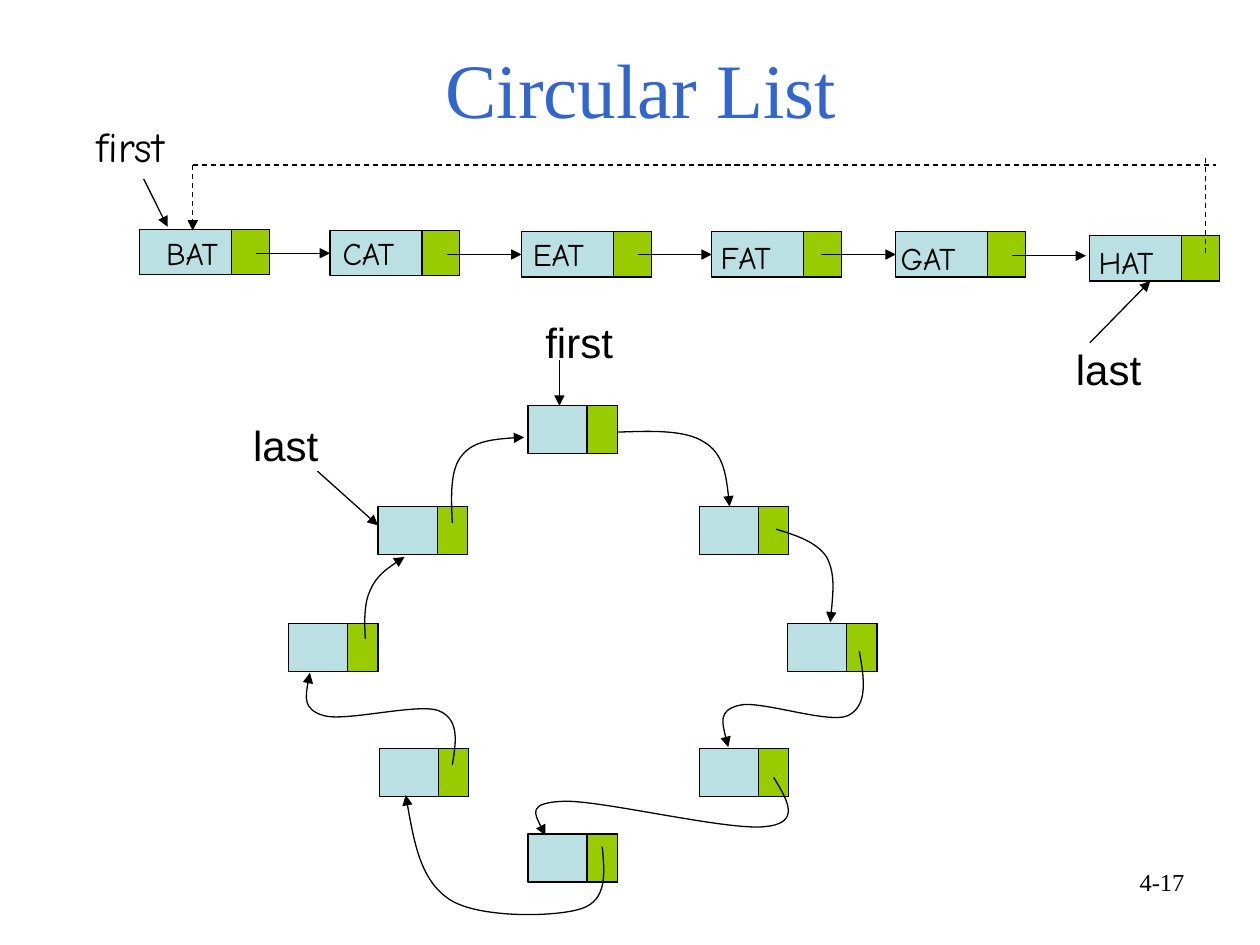
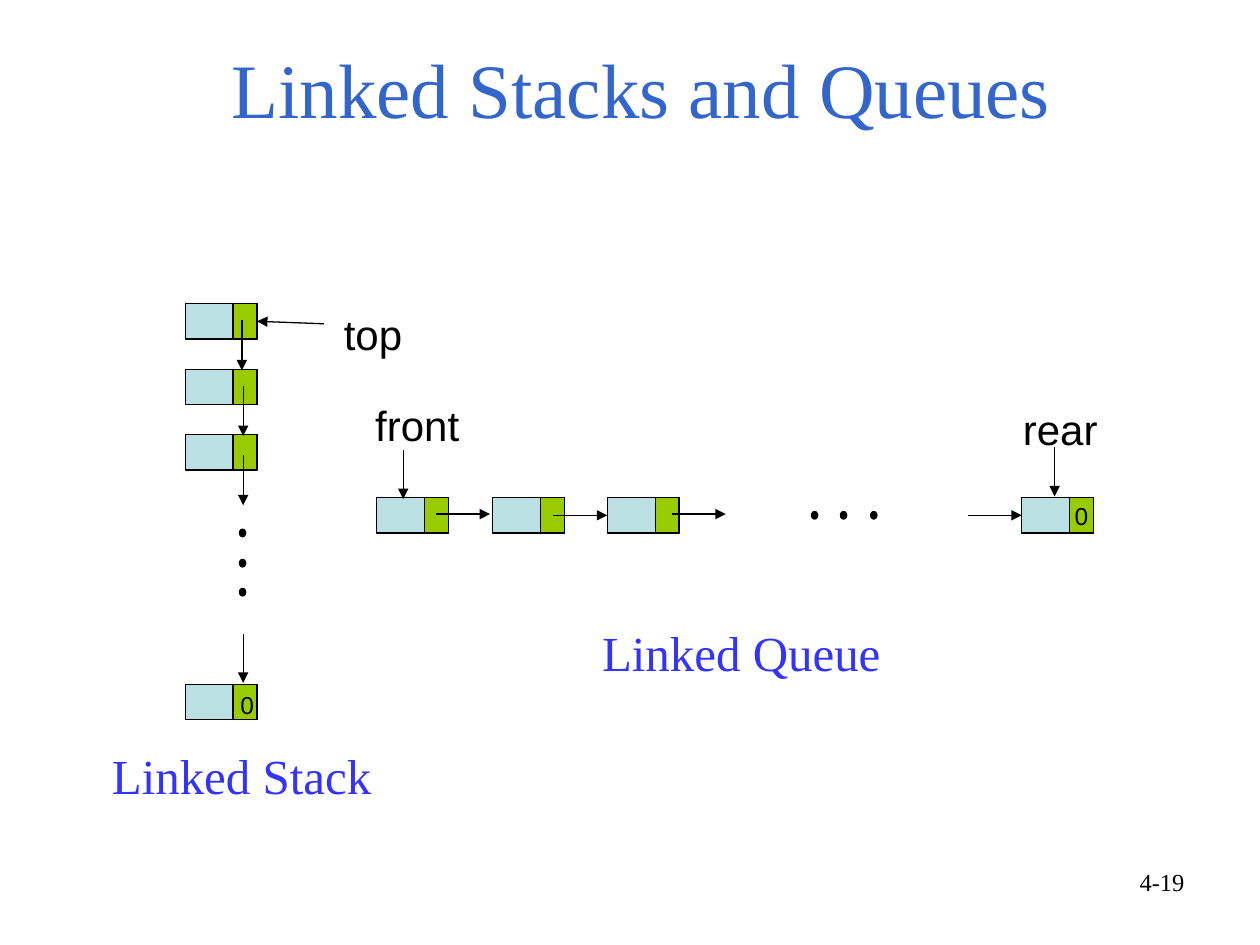
from dataclasses import dataclass
from itertools import pairwise

from lxml import etree
from pptx import Presentation
from pptx.dml.color import RGBColor
from pptx.enum.dml import MSO_LINE
from pptx.enum.shapes import MSO_CONNECTOR, MSO_SHAPE
from pptx.enum.text import MSO_ANCHOR, MSO_AUTO_SIZE, PP_ALIGN
from pptx.oxml.ns import qn
from pptx.util import Pt

EMU_PER_PX = 9144
SLIDE_WIDTH, SLIDE_HEIGHT = 1000, 750
TITLE_ONLY_LAYOUT = 5

BLACK = RGBColor(0x00, 0x00, 0x00)
DATA_FILL = RGBColor(0xBB, 0xE0, 0xE3)
LINK_FILL = RGBColor(0x99, 0xCC, 0x00)
TITLE_BLUE = RGBColor(0x33, 0x66, 0xCC)
CAPTION_BLUE = RGBColor(0x33, 0x33, 0xFF)

SANS, SERIF, HAND = "Arial", "Times New Roman", "Comic Neue"
RECTANGLE, OVAL = MSO_SHAPE.RECTANGLE, MSO_SHAPE.OVAL
STRAIGHT = MSO_CONNECTOR.STRAIGHT
DASH = MSO_LINE.DASH
LEFT, CENTER, RIGHT = PP_ALIGN.LEFT, PP_ALIGN.CENTER, PP_ALIGN.RIGHT
TOP, BOTTOM = MSO_ANCHOR.TOP, MSO_ANCHOR.BOTTOM
NO_AUTOFIT = MSO_AUTO_SIZE.NONE
LEFT_SIDE, RIGHT_SIDE = 1, 3


@dataclass(frozen=True)
class NodeSize:
    width: int
    height: int
    link_width: int


@dataclass(frozen=True)
class Label:
    text: str
    left: int
    top: int
    width: int
    height: int = 50
    font: str = SANS
    size: int = 24
    color: RGBColor = BLACK
    align: PP_ALIGN = LEFT


@dataclass(frozen=True)
class Line:
    start: tuple[int, int]
    end: tuple[int, int]
    dashed: bool = False
    arrow: bool = True


ROW_NODE = NodeSize(103, 36, 30)
RING_NODE = NodeSize(71, 38, 24)
SMALL_NODE = NodeSize(57, 28, 19)

WORD_NODES = [
    (111, 182, Label("BAT", 122, 181, 82, 40, HAND, 18)),
    (262, 183, Label("CAT", 262, 181, 82, 40, HAND, 18)),
    (414, 184, Label("EAT", 413, 182, 82, 40, HAND, 18)),
    (565, 184, Label("FAT", 562, 184, 82, 40, HAND, 18)),
    (711, 184, Label("GAT", 705, 185, 82, 40, HAND, 18)),
    (865, 187, Label("HAT", 862, 188, 82, 40, HAND, 18)),
]
WORD_ARROW_LENGTH = 59

RING_POSITIONS = [
    (419, 322), (555, 402), (625, 495), (555, 594),
    (419, 662), (301, 594), (229, 495), (300, 402),
]
RING_CURVES = [
    [(490, 343), (517, 342), (544, 341), (559, 351), (574, 360), (577, 381), (579, 402)],
    [(616, 420), (632, 425), (648, 430), (656, 442), (663, 455), (661, 474), (659, 494)],
    [(682, 517), (686, 539), (689, 560), (673, 568), (657, 575), (602, 555), (586, 560),
     (570, 564), (574, 578), (578, 593)],
    [(614, 617), (625, 635), (636, 653), (608, 656), (580, 660), (477, 635), (448, 636),
     (418, 637), (426, 650), (433, 663)],
    [(478, 672), (480, 693), (482, 714), (462, 721), (442, 728), (380, 729), (357, 714),
     (334, 699), (328, 665), (322, 631)],
    [(359, 607), (362, 589), (365, 571), (348, 564), (331, 558), (274, 573), (257, 568),
     (240, 563), (243, 548), (246, 534)],
    [(290, 507), (289, 493), (289, 478), (294, 468), (299, 457), (310, 449), (321, 442)],
    [(359, 415), (358, 394), (357, 372), (367, 361), (376, 350), (396, 348), (416, 347)],
]
CIRCULAR_LINES = [
    Line((803, 203), (862, 203)),
    Line((444, 286), (444, 322)),
    Line((252, 374), (300, 417)),
    Line((114, 142), (133, 180)),
    Line((865, 272), (913, 223)),
    Line((957, 201), (957, 123), dashed=True, arrow=False),
    Line((153, 131), (965, 131), dashed=True, arrow=False),
    Line((153, 131), (153, 183), dashed=True),
]
CIRCULAR_LABELS = [
    Label("first", 67, 91, 96, font=HAND),
    Label("last", 844, 268, 85),
    Label("first", 423, 246, 87),
    Label("last", 191, 328, 98),
]

STACK_LEFT, STACK_TOPS = 147, [241, 293, 345, 543]
QUEUE_LEFTS, QUEUE_TOP = [299, 391, 482, 811], 395
STACK_DOTS = [(190, top) for top in (420, 444, 467)]
QUEUE_DOTS = [(left, 406) for left in (644, 667, 691)]
STACK_LINES = [
    Line((192, 254), (192, 294)),
    Line((193, 306), (193, 346)),
    Line((193, 361), (193, 401)),
    Line((193, 503), (193, 542)),
]
QUEUE_LINES = [
    Line((346, 408), (389, 408)),
    Line((533, 408), (576, 408)),
    Line((320, 357), (320, 396)),
    Line((837, 355), (837, 394)),
]
STACK_QUEUE_LABELS = [
    Label("front", 288, 312, 87),
    Label("rear", 802, 315, 84),
    Label("top", 263, 240, 69),
    Label("0", 181, 543, 27, 34, size=14),
    Label("0", 843, 393, 27, 34, size=14),
    Label("Linked Stack", 79, 587, 284, 57, SERIF, 28, CAPTION_BLUE),
    Label("Linked Queue", 468, 489, 284, 57, SERIF, 28, CAPTION_BLUE),
]


def px(value: int) -> int:
    return value * EMU_PER_PX


def set_text(shape, text: str, *, font: str, size: int, color: RGBColor,
             align: PP_ALIGN = LEFT, anchor: MSO_ANCHOR = TOP) -> None:
    frame = shape.text_frame
    frame.word_wrap = True
    frame.auto_size = NO_AUTOFIT
    frame.vertical_anchor = anchor
    paragraph = frame.paragraphs[0]
    paragraph.alignment = align
    run = paragraph.add_run()
    run.text = text
    run.font.name = font
    run.font.size = Pt(size)
    run.font.color.rgb = color


def add_label(slide, label: Label) -> None:
    box = slide.shapes.add_textbox(
        px(label.left), px(label.top), px(label.width), px(label.height))
    set_text(box, label.text, font=label.font, size=label.size,
             color=label.color, align=label.align)


def set_outline(shape, arrow: bool = False, dashed: bool = False) -> None:
    shape.line.color.rgb = BLACK
    shape.line.width = Pt(0.75)
    if dashed:
        shape.line.dash_style = DASH
    if arrow:
        outline = shape._element.spPr.find(qn("a:ln"))
        etree.SubElement(outline, qn("a:tailEnd"), type="triangle")


def add_filled(slide, kind: MSO_SHAPE, left: int, top: int, width: int, height: int,
               color: RGBColor):
    shape = slide.shapes.add_shape(kind, px(left), px(top), px(width), px(height))
    shape.shadow.inherit = False
    shape.fill.solid()
    shape.fill.fore_color.rgb = color
    set_outline(shape)
    return shape


def add_node(slide, left: int, top: int, size: NodeSize) -> tuple:
    data = add_filled(slide, RECTANGLE, left, top, size.width, size.height, DATA_FILL)
    link_left = left + size.width - size.link_width
    link = add_filled(slide, RECTANGLE, link_left, top, size.link_width, size.height,
                      LINK_FILL)
    return data, link


def add_line(slide, line: Line, target=None, side: int = LEFT_SIDE) -> None:
    connector = slide.shapes.add_connector(STRAIGHT, *map(px, line.start + line.end))
    if target is not None:
        connector.end_connect(target, side)
    set_outline(connector, line.arrow, line.dashed)
    etree.SubElement(connector._element.spPr, qn("a:effectLst"))


def add_curve(slide, points: list[tuple[int, int]]) -> None:
    builder = slide.shapes.build_freeform(*points[0], scale=EMU_PER_PX)
    builder.add_line_segments(points[1:], close=False)
    curve = builder.convert_to_shape()
    curve.shadow.inherit = False
    curve.fill.background()
    set_outline(curve, arrow=True)
    segments = list(curve._element.iter(qn("a:lnTo")))
    outline = segments[0].getparent()
    for first in range(0, len(segments), 3):
        bezier = etree.SubElement(outline, qn("a:cubicBezTo"))
        for segment in segments[first:first + 3]:
            bezier.append(segment[0])
            outline.remove(segment)


def add_titled_slide(presentation, title: str, number: str):
    slide = presentation.slides.add_slide(presentation.slide_layouts[TITLE_ONLY_LAYOUT])
    shape = slide.shapes.title
    shape.left, shape.top, shape.width, shape.height = map(px, (75, 23, 868, 88))
    set_text(shape, title, font=SERIF, size=44, color=TITLE_BLUE,
             align=CENTER, anchor=BOTTOM)
    add_label(slide, Label(number, 717, 683, 233, 52, SERIF, 14, align=RIGHT))
    return slide


def build_circular_list(presentation) -> None:
    slide = add_titled_slide(presentation, "Circular List", "4-17")
    for left, top in RING_POSITIONS:
        add_node(slide, left, top, RING_NODE)
    for points in RING_CURVES:
        add_curve(slide, points)
    word_boxes = [add_node(slide, left, top, ROW_NODE)[0] for left, top, _ in WORD_NODES]
    for (left, top, _), box in zip(WORD_NODES[1:-1], word_boxes[1:-1]):
        middle = top + ROW_NODE.height // 2
        add_line(slide, Line((left - WORD_ARROW_LENGTH, middle), (left, middle)), box)
    for line in CIRCULAR_LINES:
        add_line(slide, line)
    for label in [label for _, _, label in WORD_NODES] + CIRCULAR_LABELS:
        add_label(slide, label)


def build_stacks_and_queues(presentation) -> None:
    slide = add_titled_slide(presentation, "Linked Stacks and Queues", "4-19")
    stack = [add_node(slide, STACK_LEFT, top, SMALL_NODE) for top in STACK_TOPS]
    queue = [add_node(slide, left, QUEUE_TOP, SMALL_NODE) for left in QUEUE_LEFTS]
    for line in STACK_LINES + QUEUE_LINES:
        add_line(slide, line)
    add_line(slide, Line((257, 257), (204, 255)), stack[0][1], RIGHT_SIDE)
    add_line(slide, Line((439, 409), (482, 409)), queue[2][0])
    add_line(slide, Line((768, 409), (811, 409)), queue[3][0])
    for left, top in STACK_DOTS + QUEUE_DOTS:
        add_filled(slide, OVAL, left, top, 5, 6, BLACK)
    for label in STACK_QUEUE_LABELS:
        add_label(slide, label)


def main() -> None:
    presentation = Presentation()
    presentation.slide_width = px(SLIDE_WIDTH)
    presentation.slide_height = px(SLIDE_HEIGHT)
    build_circular_list(presentation)
    build_stacks_and_queues(presentation)
    presentation.save("out.pptx")


if __name__ == "__main__":
    main()
